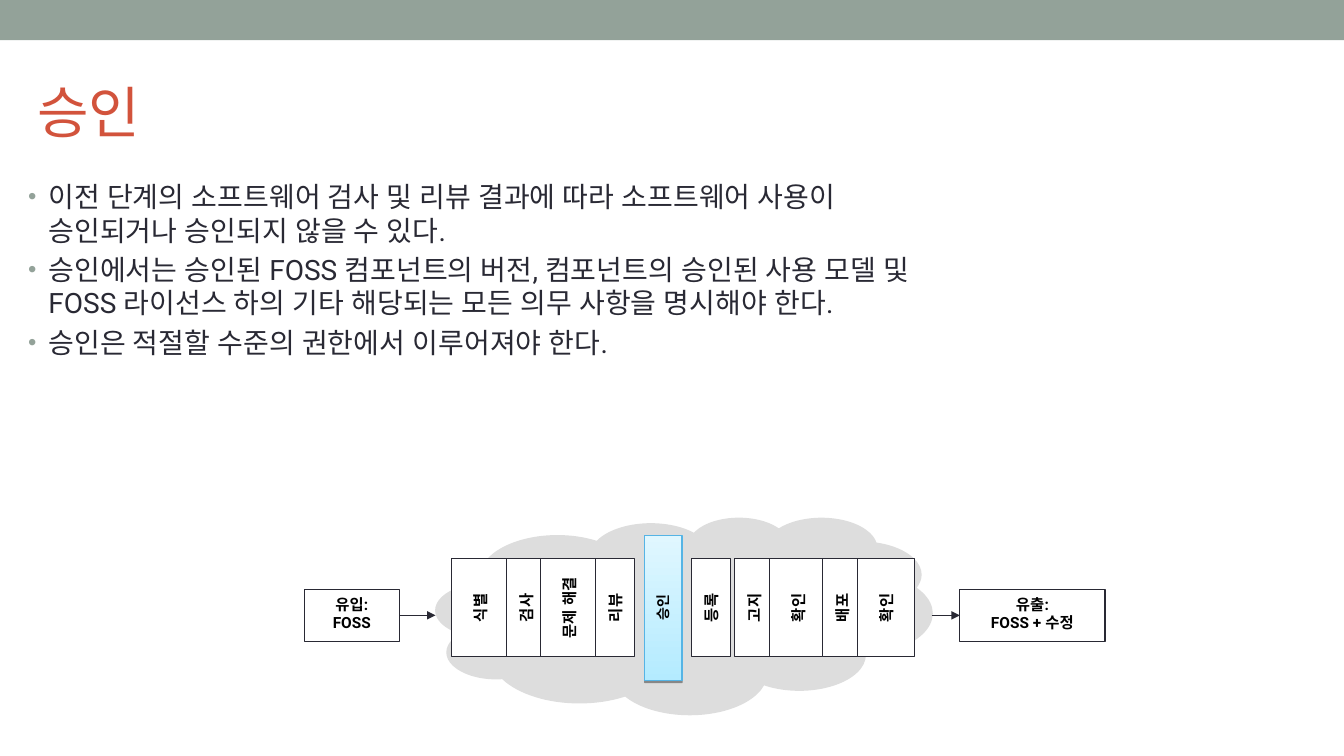
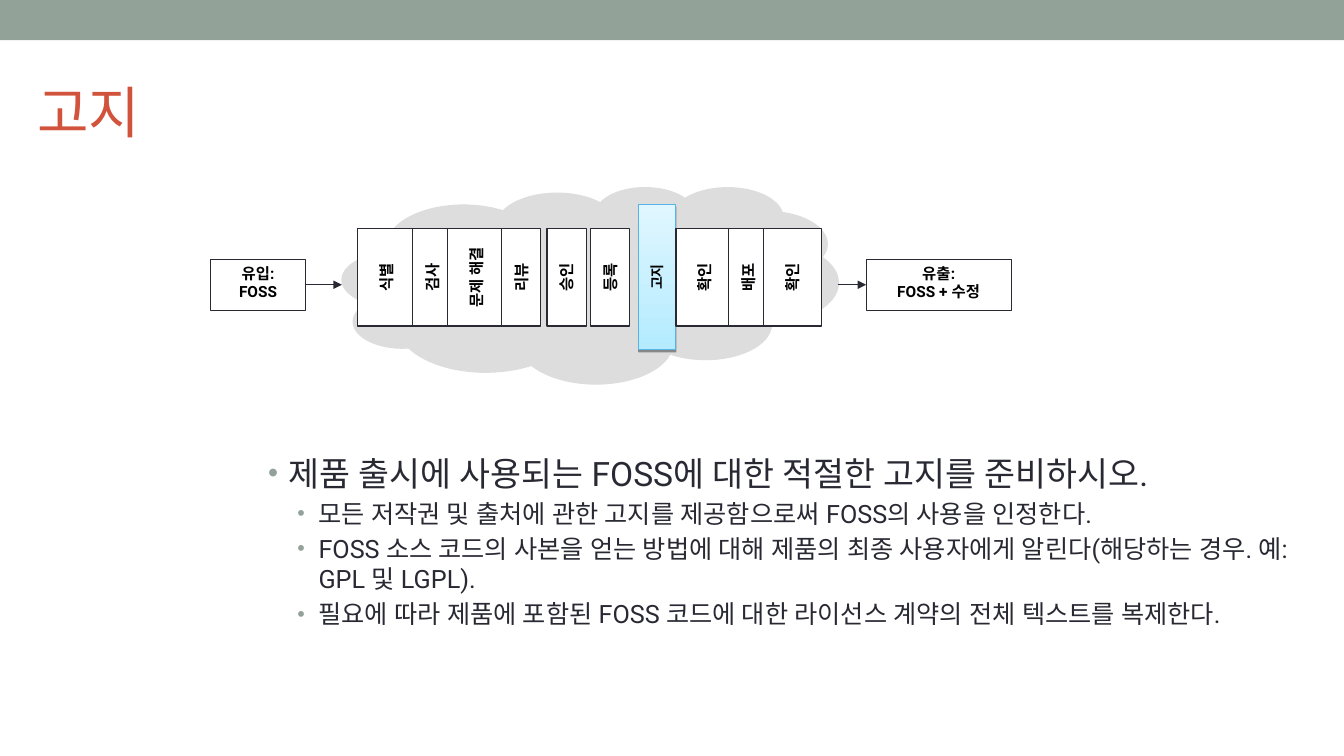
from lxml.etree import SubElement
from pptx import Presentation
from pptx.dml.color import RGBColor
from pptx.enum.shapes import MSO_CONNECTOR, MSO_SHAPE
from pptx.enum.text import MSO_ANCHOR, MSO_AUTO_SIZE, PP_ALIGN
from pptx.oxml.ns import qn
from pptx.util import Inches, Pt

FONT = "Roboto"
SAGE, RED, INK = "93A299", "D2533C", "292934"
WHITE, BLACK, CLOUD = "FFFFFF", "000000", "DDDDDD"
PALE, SKY, EDGE = "E0F7FF", "B4EBFF", "55B4E5"

WIDE, SLIM = 0.57, 0.39
# Step name, box width
STEPS = [("식별", WIDE), ("검사", SLIM), ("문제 해결", WIDE), ("리뷰", SLIM),
         ("승인", SLIM), ("등록", SLIM), ("고지", SLIM),
         ("확인", WIDE), ("배포", SLIM), ("확인", WIDE)]
# Step centres from the cloud's left edge, before and after the middle three
HEAD, TAIL = [0.44, 0.9, 1.33, 1.78], [3.6, 4.03, 4.47]


def color(code):
    return RGBColor.from_string(code)


def bullet(para, left, hang):
    props = para._p.get_or_add_pPr()
    props.set("marL", str(Inches(left)))
    props.set("indent", str(-Inches(hang)))
    tint = SubElement(props, qn("a:buClr"))
    SubElement(tint, qn("a:srgbClr"), val=SAGE)
    SubElement(props, qn("a:buSzPct"), val="85000")
    SubElement(props, qn("a:buFont"), typeface="Arial")
    SubElement(props, qn("a:buChar"), char="•")


def write(shape, lines, size=11, ink=BLACK, bold=False, align=PP_ALIGN.LEFT,
          anchor=MSO_ANCHOR.TOP, inset=(0.1, 0.05, 0.1, 0.05), gap=0,
          dots=None, sizes=None, turn=False):
    """Fill a shape with paragraphs; dots gives (left, hang) per line."""
    frame = shape.text_frame
    frame.word_wrap = True
    frame.auto_size = MSO_AUTO_SIZE.NONE
    frame.vertical_anchor = anchor
    (frame.margin_left, frame.margin_top,
     frame.margin_right, frame.margin_bottom) = map(Inches, inset)
    if turn:
        frame._txBody.bodyPr.set("vert", "vert270")
    for i, line in enumerate(lines):
        para = frame.paragraphs[0] if i == 0 else frame.add_paragraph()
        para.alignment = align
        para.space_before = Pt(gap if i else 0)
        if dots:
            bullet(para, *dots[i])
        run = para.add_run()
        run.text = line
        font = run.font
        font.name, font.bold = FONT, bold
        font.size = Pt(sizes[i] if sizes else size)
        font.color.rgb = color(ink)
        SubElement(run._r.get_or_add_rPr(), qn("a:ea"), typeface=FONT)


def shape(slide, x, y, w, h, fill=WHITE, line=None, kind=MSO_SHAPE.RECTANGLE):
    item = slide.shapes.add_shape(kind, *map(Inches, (x, y, w, h)))
    item.shadow.inherit = False
    item.fill.solid()
    item.fill.fore_color.rgb = color(fill)
    if line:
        item.line.color.rgb = color(line)
        item.line.width = Pt(0.75)
    else:
        item.line.fill.background()
    return item


def arrow(slide, x, end, y):
    link = slide.shapes.add_connector(
        MSO_CONNECTOR.STRAIGHT, *map(Inches, (x, y, end, y)))
    link.line.color.rgb = color(INK)
    link.line.width = Pt(0.75)
    SubElement(link.line._get_or_add_ln(), qn("a:tailEnd"), type="triangle")
    SubElement(link._element.spPr, qn("a:effectLst"))
    return link


def glow(box):
    """Give the current step its gradient and drop shadow."""
    box.fill.gradient()
    box.fill.gradient_angle = 90
    for stop, code in zip(box.fill.gradient_stops, (SKY, PALE)):
        stop.color.rgb = color(code)
    effect = box._element.spPr.find(qn("a:effectLst"))
    drop = SubElement(effect, qn("a:outerShdw"), blurRad="0",
                      dist=str(Pt(1.6)), dir="5400000", rotWithShape="0")
    tint = SubElement(drop, qn("a:srgbClr"), val=BLACK)
    SubElement(tint, qn("a:alpha"), val="38000")


def flow(slide, x, y, now, mids):
    """Process diagram; x, y is the cloud's corner, now the current step."""
    cloud = shape(slide, x, y, 4.93, 1.96, CLOUD, kind=MSO_SHAPE.CLOUD_CALLOUT)
    cloud.adjustments[0], cloud.adjustments[1] = -0.01, 0.12

    # Steps
    for (name, wide), mid in zip(STEPS, HEAD + mids + TAIL):
        live = name == now
        w, h = (0.37, 1.44) if live else (wide, 0.97)
        box = shape(slide, x + mid - w / 2, y + 0.9 - h / 2, w, h,
                    line=EDGE if live else INK)
        if live:
            glow(box)
        write(box, [name], size=10 if live else 11, bold=True, turn=True,
              align=PP_ALIGN.CENTER, anchor=MSO_ANCHOR.MIDDLE,
              inset=(0.05, 0.05, 0.05, 0.05))

    # Inflow and outflow
    ends = []
    for left, w, lines in ((-1.3, 0.94, ["유입:", "FOSS"]),
                           (5.2, 1.44, ["유출:", "FOSS + 수정"])):
        box = shape(slide, x + left, y + 0.72, w, 0.51, line=INK)
        write(box, lines, bold=True, align=PP_ALIGN.CENTER)
        ends.append(box)
    level = y + 0.975
    arrow(slide, x - 0.36, x, level).begin_connect(ends[0], 3)
    arrow(slide, x + 4.92, x + 5.2, level).end_connect(ends[1], 1)


def body(slide, x, y, w, h, lines, **form):
    box = slide.shapes.add_textbox(*map(Inches, (x, y, w, h)))
    write(box, lines, ink=INK, inset=(0.28, 0.2, 0.2, 0.24), **form)


def page(deck, name):
    """Title-only slide with the top band."""
    slide = deck.slides.add_slide(deck.slide_layouts[5])
    shape(slide, 0, 0, 13.33, 0.4, SAGE)
    title = slide.shapes.title
    title.left, title.top, title.width, title.height = map(
        Inches, (0.27, 0.56, 12, 1.08))
    write(title, [name], size=40, ink=RED, anchor=MSO_ANCHOR.MIDDLE)
    return slide


def main():
    deck = Presentation()
    deck.slide_width, deck.slide_height = Inches(13.33), Inches(7.5)
    top, sub = (0.2, 0.2), (0.5, 0.21)

    # Approval
    slide = page(deck, "승인")
    body(slide, 0, 1.58, 9.25, 2.99, [
        "이전 단계의 소프트웨어 검사 및 리뷰 결과에 따라 소프트웨어 사용이 승인되거나 승인되지 않을 수 있다.",
        "승인에서는 승인된 FOSS 컴포넌트의 버전, 컴포넌트의 승인된 사용 모델 및 FOSS 라이선스 하의 "
        "기타 해당되는 모든 의무 사항을 명시해야 한다.",
        "승인은 적절할 수준의 권한에서 이루어져야 한다.",
    ], size=20, gap=4, dots=[top] * 3)
    flow(slide, 4.32, 5.13, "승인", [2.26, 2.73, 3.16])

    # Notices
    slide = page(deck, "고지")
    body(slide, 2.38, 4.29, 10.95, 2.74, [
        "제품 출시에 사용되는 FOSS에 대한 적절한 고지를 준비하시오.",
        "모든 저작권 및 출처에 관한 고지를 제공함으로써 FOSS의 사용을 인정한다.",
        "FOSS 소스 코드의 사본을 얻는 방법에 대해 제품의 최종 사용자에게 알린다"
        "(해당하는 경우. 예: GPL 및 LGPL).",
        "필요에 따라 제품에 포함된 FOSS 코드에 대한 라이선스 계약의 전체 텍스트를 복제한다.",
    ], sizes=[24, 18, 18, 18], gap=3.6, dots=[top] + [sub] * 3)
    flow(slide, 3.39, 1.85, "고지", [2.23, 2.66, 3.13])

    deck.save("out.pptx")


if __name__ == "__main__":
    main()
